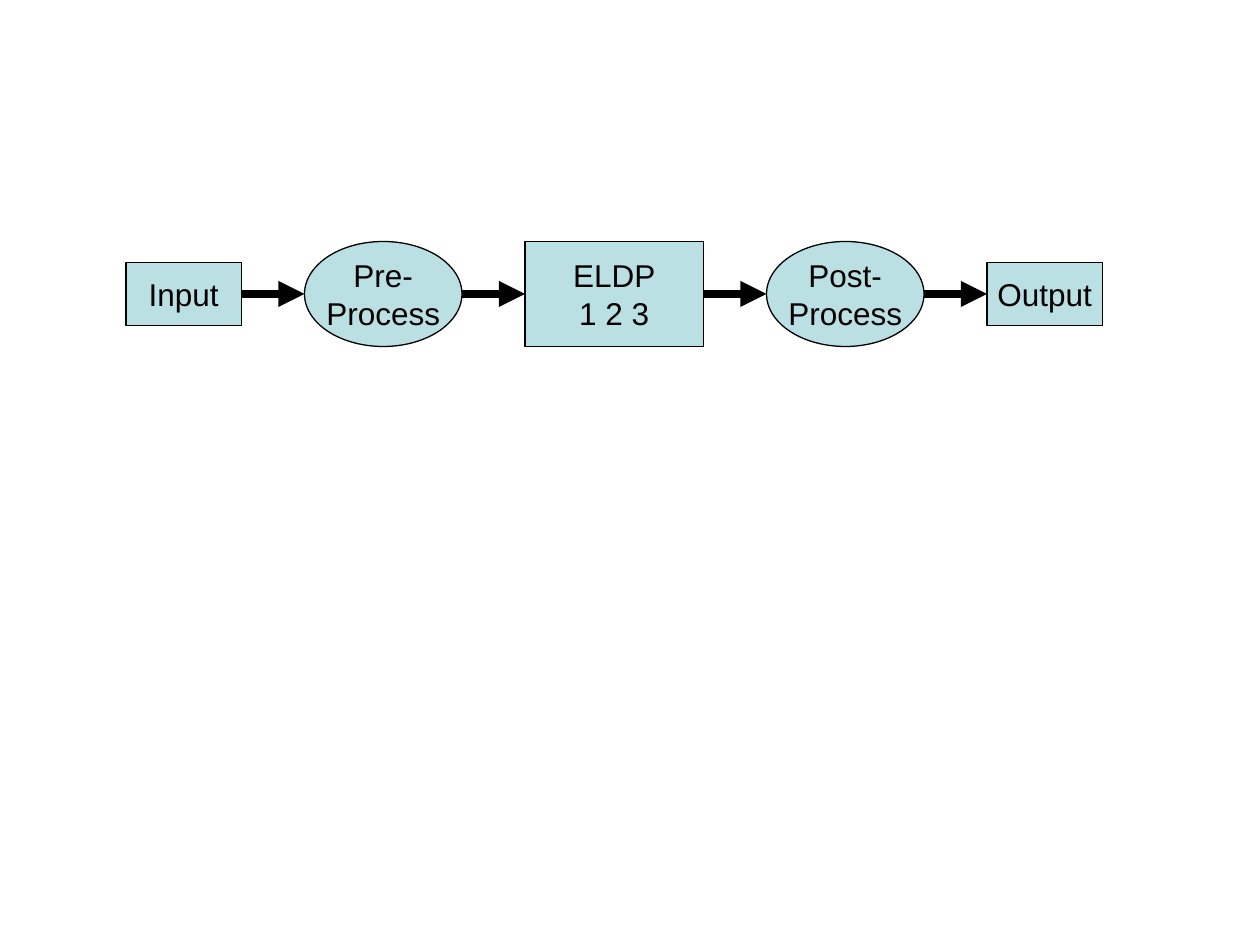
from itertools import pairwise

from lxml.etree import SubElement
from pptx import Presentation
from pptx.dml.color import RGBColor
from pptx.enum.shapes import MSO_CONNECTOR, MSO_SHAPE
from pptx.enum.text import MSO_ANCHOR, PP_ALIGN
from pptx.oxml.ns import qn
from pptx.util import Inches, Pt

COLORS = {"fill": "BBE0E3", "ink": "000000"}
COLUMNS, ROWS = 120, 90  # grid over the whole slide
GAP = 6  # columns between neighbouring stages
LEFT_SITE, RIGHT_SITE = 1, 3

# text, preset shape, columns wide, rows high
STAGES = [
    ("Input", MSO_SHAPE.RECTANGLE, 11, 6),
    ("Pre-\nProcess", MSO_SHAPE.OVAL, 15, 10),
    ("ELDP\n1 2 3", MSO_SHAPE.RECTANGLE, 17, 10),
    ("Post-\nProcess", MSO_SHAPE.OVAL, 15, 10),
    ("Output", MSO_SHAPE.RECTANGLE, 11, 6),
]


def color(name):
    return RGBColor.from_string(COLORS[name])


def write(frame, text, size=18, font="Arial", ink="ink", align=PP_ALIGN.CENTER):
    frame.word_wrap = False
    frame.vertical_anchor = MSO_ANCHOR.MIDDLE
    frame.text = text
    for paragraph in frame.paragraphs:
        paragraph.alignment = align
        paragraph.font.size = Pt(size)
        paragraph.font.name = font
        paragraph.font.color.rgb = color(ink)


def add_stage(slide, text, preset, left, top, width, height):
    stage = slide.shapes.add_shape(preset, left, top, width, height)
    stage.shadow.inherit = False
    stage.fill.solid()
    stage.fill.fore_color.rgb = color("fill")
    stage.line.color.rgb = color("ink")
    stage.line.width = Pt(0.75)
    write(stage.text_frame, text)
    return stage


def add_arrow(slide, source, target, middle):
    arrow = slide.shapes.add_connector(
        MSO_CONNECTOR.STRAIGHT, source.left + source.width, middle, target.left, middle)
    if source.auto_shape_type == MSO_SHAPE.RECTANGLE:
        arrow.begin_connect(source, RIGHT_SITE)
    if target.auto_shape_type == MSO_SHAPE.RECTANGLE:
        arrow.end_connect(target, LEFT_SITE)
    arrow.line.color.rgb = color("ink")
    arrow.line.width = Pt(5)
    properties = arrow.line._get_or_add_ln()
    SubElement(properties, qn("a:tailEnd"), type="triangle")
    SubElement(properties.getparent(), qn("a:effectLst"))


def add_pipeline(slide, left, middle, column, row):
    """Place the stages left to right on one middle line and join them."""
    stages = []
    for text, preset, columns, rows in STAGES:
        width, height = columns * column, rows * row
        stages.append(add_stage(slide, text, preset, left, middle - height // 2, width, height))
        left += width + GAP * column
    for source, target in pairwise(stages):
        add_arrow(slide, source, target, middle)


def main():
    deck = Presentation()
    deck.slide_width, deck.slide_height = Inches(10), Inches(7.5)
    column, row = deck.slide_width // COLUMNS, deck.slide_height // ROWS
    slide = deck.slides.add_slide(deck.slide_layouts[6])  # blank layout
    add_pipeline(slide, left=12 * column, middle=28 * row, column=column, row=row)
    deck.save("out.pptx")


if __name__ == "__main__":
    main()
